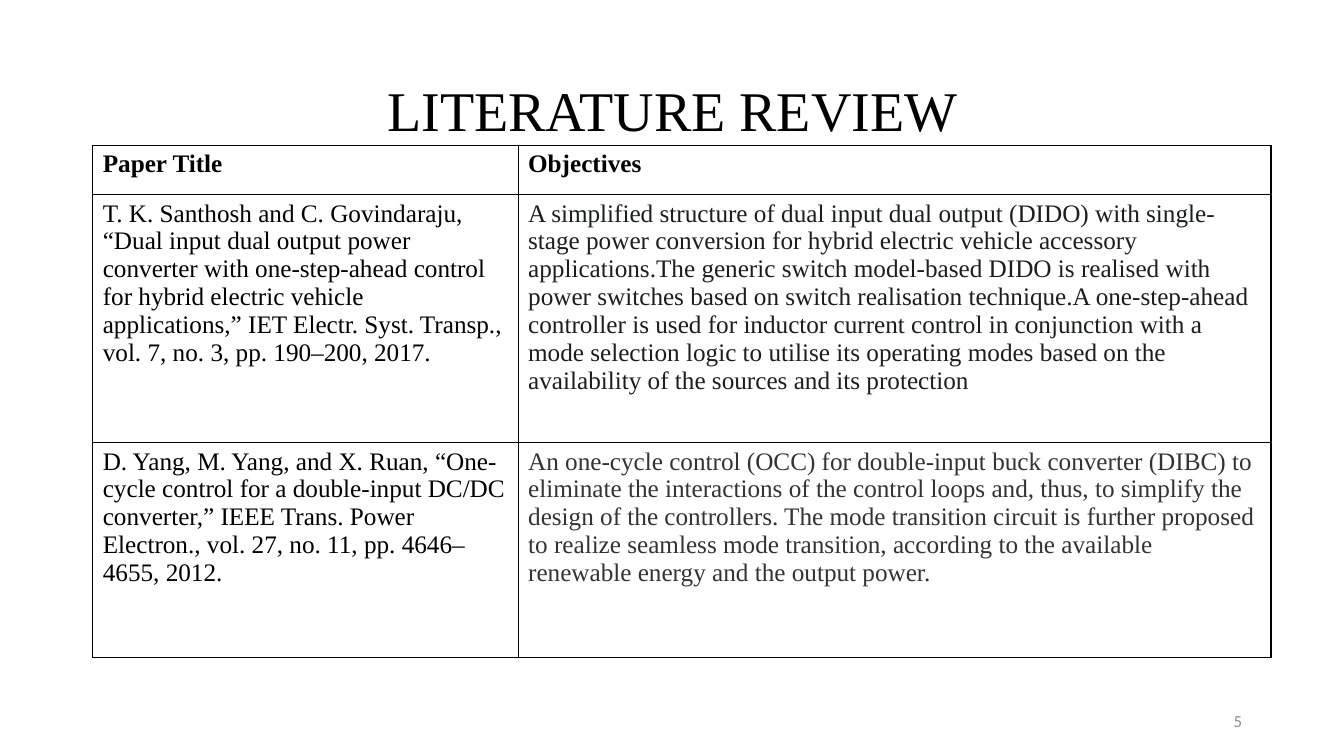
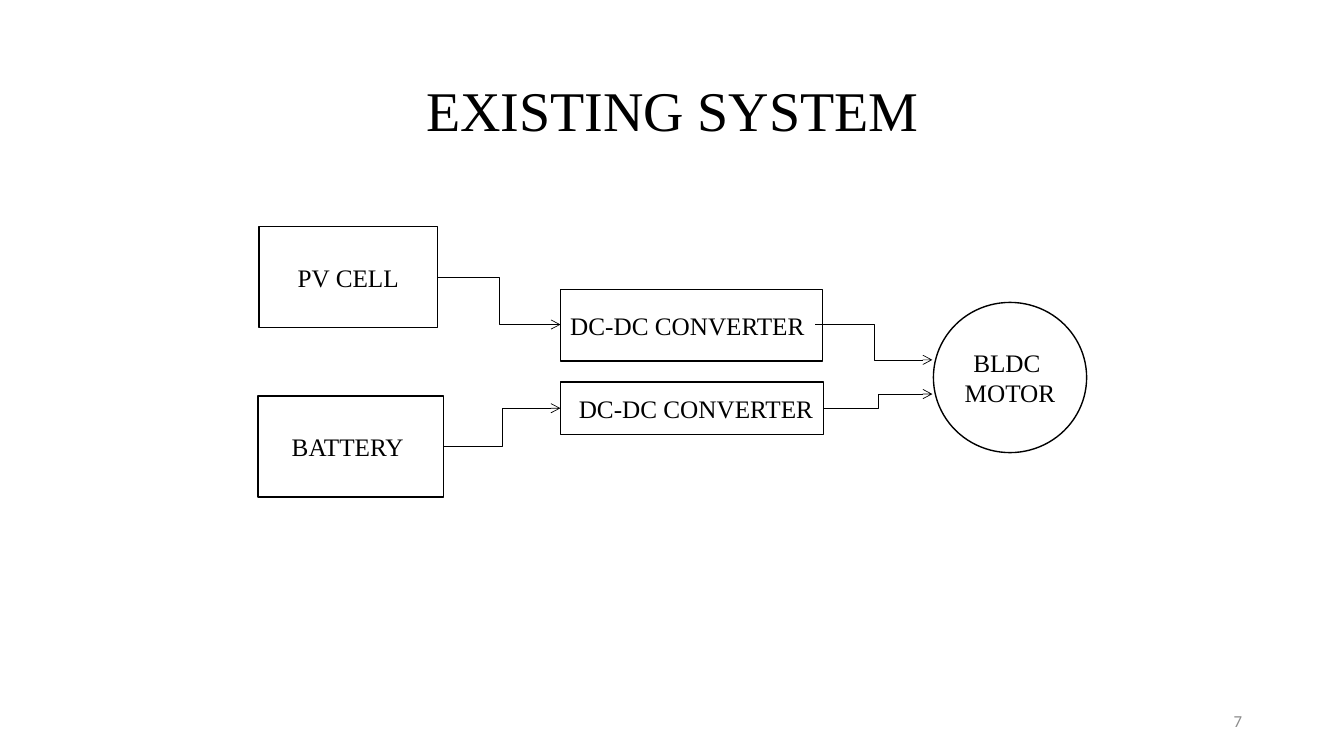
import pptx
import pptx.dml.color
import pptx.enum.shapes
import pptx.enum.text
import pptx.oxml
import pptx.oxml.ns
import pptx.util

ALIGN = pptx.enum.text.PP_ALIGN
ANCHOR = pptx.enum.text.MSO_ANCHOR
PRESET = pptx.enum.shapes.MSO_SHAPE


def color(value):
    """Turn a hex string into a colour."""
    return pptx.dml.color.RGBColor.from_string(value)


def grid(*steps):
    """Turn grid steps of a tenth of an inch into lengths."""
    return [pptx.util.Inches(step / 10) for step in steps]


def write(frame, text, size=18, font="Times New Roman", ink="000000", bold=False,
          align=ALIGN.LEFT, anchor=ANCHOR.TOP, spacing=None, wrap=True):
    """Fill a text frame, one paragraph for each line of text."""
    frame.word_wrap = wrap
    frame.vertical_anchor = anchor
    for index, line in enumerate(text.split("\n")):
        paragraph = frame.add_paragraph() if index else frame.paragraphs[0]
        paragraph.alignment = align
        if spacing:
            paragraph.line_spacing = spacing
        run = paragraph.add_run()
        run.text = line
        run.font.size = pptx.util.Pt(size)
        run.font.name = font
        run.font.bold = bold
        run.font.color.rgb = color(ink)


class Deck:
    """Hold the shared style and the slide being built."""

    ink, paper, muted = "000000", "FFFFFF", "8C8C8C"

    def __init__(self):
        """Start an empty wide presentation."""
        self.presentation = pptx.Presentation()
        self.presentation.slide_width, self.presentation.slide_height = grid(133.33, 75)
        self.slide = None

    def add_slide(self, heading, number):
        """Add a slide with its heading and page number."""
        self.slide = self.presentation.slides.add_slide(self.presentation.slide_layouts[5])
        title = self.slide.shapes.title
        title.left, title.top, title.width, title.height = grid(9.2, 4, 115, 14.5)
        write(title.text_frame, heading, size=40, align=ALIGN.CENTER,
              anchor=ANCHOR.MIDDLE, spacing=0.9)
        page = self.slide.shapes.add_textbox(*grid(94.2, 69.5, 30, 4))
        write(page.text_frame, number, size=12, font="Calibri", ink=self.muted,
              align=ALIGN.RIGHT, anchor=ANCHOR.MIDDLE)

    def outline_cell(self, cell):
        """Draw a thin border on the four sides of a cell."""
        properties = cell._tc.get_or_add_tcPr()
        for side in ("lnL", "lnR", "lnT", "lnB"):
            properties.append(pptx.oxml.parse_xml(
                f'<a:{side} {pptx.oxml.ns.nsdecls("a")} w="12700"><a:solidFill>'
                f'<a:srgbClr val="{self.ink}"/></a:solidFill></a:{side}>'))

    def add_table(self, left, top, columns, rows, entries, inks):
        """Add a ruled table with a bold heading row."""
        frame = self.slide.shapes.add_table(
            len(rows), len(columns), *grid(left, top, sum(columns), sum(rows)))
        table = frame.table
        table.horz_banding = False
        for column, width in zip(table.columns, grid(*columns)):
            column.width = width
        for index, height in enumerate(grid(*rows)):
            table.rows[index].height = height
            for place, entry in enumerate(entries[index]):
                cell = table.cell(index, place)
                self.outline_cell(cell)
                cell.fill.solid()
                cell.fill.fore_color.rgb = color(self.paper)
                write(cell.text_frame, entry, bold=index == 0,
                      ink=inks[index] if place else self.ink)

    def add_block(self, label, left, top, width, height, preset=PRESET.RECTANGLE, shift=0):
        """Add an outlined block whose label may sit off centre."""
        block = self.slide.shapes.add_shape(preset, *grid(left, top, width, height))
        block.shadow.inherit = False
        block.fill.solid()
        block.fill.fore_color.rgb = color(self.paper)
        block.line.color.rgb = color(self.ink)
        block.line.width = pptx.util.Pt(1)
        frame = block.text_frame
        frame.margin_left, frame.margin_right = grid(max(2 * shift, 0), max(-2 * shift, 0))
        write(frame, label, align=ALIGN.CENTER, anchor=ANCHOR.MIDDLE, wrap=False)

    def add_arrow(self, *ends):
        """Add a bent arrow between two points."""
        arrow = self.slide.shapes.add_connector(
            pptx.enum.shapes.MSO_CONNECTOR.ELBOW, *grid(*ends))
        arrow.line.color.rgb = color(self.ink)
        arrow.line.width = pptx.util.Pt(0.5)
        namespace = pptx.oxml.ns.nsdecls("a")
        arrow.line._get_or_add_ln().append(
            pptx.oxml.parse_xml(f'<a:tailEnd {namespace} type="arrow"/>'))
        arrow._element.spPr.append(pptx.oxml.parse_xml(f"<a:effectLst {namespace}/>"))


def main():
    """Build both slides and save them."""
    deck = Deck()

    deck.add_slide("LITERATURE REVIEW", "5")
    papers = [
        ("Paper Title", "Objectives"),
        ("T. K. Santhosh and C. Govindaraju, “Dual input dual output power converter with "
         "one-step-ahead control for hybrid electric vehicle applications,” IET Electr. Syst. "
         "Transp., vol. 7, no. 3, pp. 190–200, 2017.",
         "A simplified structure of dual input dual output (DIDO) with single-stage power "
         "conversion for hybrid electric vehicle accessory applications.The generic switch "
         "model-based DIDO is realised with power switches based on switch realisation "
         "technique.A one-step-ahead controller is used for inductor current control in "
         "conjunction with a mode selection logic to utilise its operating modes based on the "
         "availability of the sources and its protection"),
        ("D. Yang, M. Yang, and X. Ruan, “One-cycle control for a double-input DC/DC "
         "converter,” IEEE Trans. Power Electron., vol. 27, no. 11, pp. 4646–4655, 2012.",
         "An one-cycle control (OCC) for double-input buck converter (DIBC) to eliminate the "
         "interactions of the control loops and, thus, to simplify the design of the "
         "controllers. The mode transition circuit is further proposed to realize seamless "
         "mode transition, according to the available renewable energy and the output power."),
    ]
    deck.add_table(9.2, 14.4, (42.2, 74.7), (4.9, 24.6, 21.3), papers,
                   (deck.ink, "1C1D1E", "333333"))

    deck.add_slide("EXISTING SYSTEM", "7")
    deck.add_block("PV CELL", 25.7, 22.5, 17.7, 10)
    deck.add_block("BATTERY", 25.6, 39.3, 18.4, 10, shift=-0.3)
    deck.add_block("DC-DC CONVERTER", 55.6, 28.7, 26, 7.1, shift=-0.4)
    deck.add_block("DC-DC CONVERTER", 55.6, 37.9, 26.1, 5.2, shift=0.4)
    deck.add_block("BLDC \nMOTOR", 92.6, 30, 15.2, 14.9, preset=PRESET.OVAL)
    for ends in ((44, 44.3, 55.6, 40.5), (81.7, 40.5, 92.5, 39.1),
                 (43.4, 27.5, 55.6, 32.2), (80.9, 32.2, 92.5, 35.7)):
        deck.add_arrow(*ends)

    deck.presentation.save("out.pptx")


if __name__ == "__main__":
    main()
